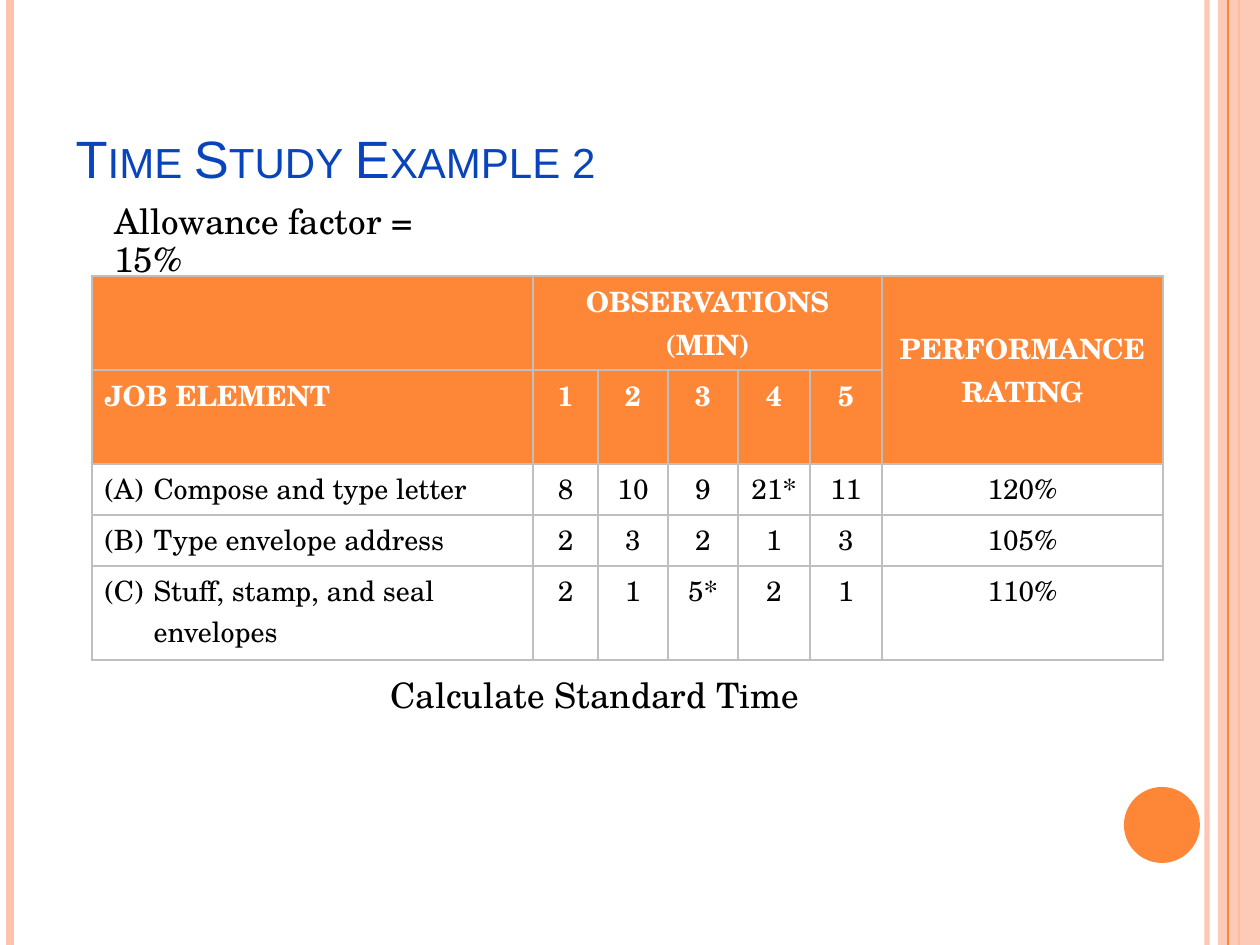
from lxml.etree import SubElement
from pptx import Presentation
from pptx.dml.color import RGBColor
from pptx.enum.shapes import MSO_CONNECTOR, MSO_SHAPE
from pptx.enum.text import MSO_ANCHOR, PP_ALIGN
from pptx.oxml.ns import qn
from pptx.util import Emu, Pt

ORANGE = RGBColor(0xFE, 0x86, 0x37)
PEACH = RGBColor(0xFE, 0xC3, 0xAE)
BLUE = RGBColor(0x08, 0x44, 0xBC)
GREY = RGBColor(0xBF, 0xBF, 0xBF)
BLACK = RGBColor(0, 0, 0)
WHITE = RGBColor(0xFF, 0xFF, 0xFF)
SERIF = "TeX Gyre Schola"
SANS = "Arial"

SLIDE_WIDTH, SLIDE_HEIGHT = 1260, 945
COLUMN_WIDTHS = [441, 65, 70, 70, 72, 72, 281]
ROW_HEIGHTS = [94, 80, 51, 51, 94]
HEADER_ROWS = 2
ROWS = [
    ["", "OBSERVATIONS (MIN)", "", "", "", "", "PERFORMANCE RATING"],
    ["JOB ELEMENT", "1", "2", "3", "4", "5", ""],
    ["(A)\tCompose and type letter", "8", "10", "9", "21*", "11", "120%"],
    ["(B)\tType envelope address", "2", "3", "2", "1", "3", "105%"],
    ["(C)\tStuff, stamp, and seal envelopes", "2", "1", "5*", "2", "1", "110%"],
]


def px(length):
    return Emu(round(length * 914400 / 126))


def set_opacity(color_format_parent, percent):
    color = color_format_parent.find(".//" + qn("a:srgbClr"))
    SubElement(color, qn("a:alpha"), val=str(percent * 1000))


def format_runs(paragraph, font_name, size, color, bold=False):
    for run in paragraph.runs:
        run.font.name = font_name
        run.font.size = Pt(size)
        run.font.color.rgb = color
        run.font.bold = bold


def add_stripe(slide, x, color, width, opacity=100):
    """Draw a full-height vertical line."""
    line = slide.shapes.add_connector(
        MSO_CONNECTOR.STRAIGHT, px(x), 0, px(x), px(SLIDE_HEIGHT))
    line.line.color.rgb = color
    line.line.width = Pt(width)
    if opacity < 100:
        set_opacity(line._element.spPr, opacity)
    SubElement(line._element.spPr, qn("a:effectLst"))


def add_filled_shape(slide, kind, left, top, width, height, color, opacity=100):
    shape = slide.shapes.add_shape(kind, px(left), px(top), px(width), px(height))
    shape.shadow.inherit = False
    shape.fill.solid()
    shape.fill.fore_color.rgb = color
    shape.line.fill.background()
    if opacity < 100:
        set_opacity(shape._element.spPr, opacity)


def add_title(slide, text):
    title = slide.shapes.title
    title.left, title.top, title.width, title.height = map(px, (63, 38, 1029, 157))
    frame = title.text_frame
    frame.text = text
    frame.vertical_anchor = MSO_ANCHOR.BOTTOM
    paragraph = frame.paragraphs[0]
    paragraph.alignment = PP_ALIGN.LEFT
    format_runs(paragraph, SANS, 30, BLUE)
    paragraph.runs[0].font._element.set("cap", "small")


def add_caption(slide, text, left, top, width, height):
    box = slide.shapes.add_textbox(px(left), px(top), px(width), px(height))
    frame = box.text_frame
    frame.word_wrap = True
    frame.text = text
    paragraph = frame.paragraphs[0]
    paragraph.line_spacing = 0.9
    format_runs(paragraph, SERIF, 20, BLACK)


def set_borders(cell):
    properties = cell._tc.get_or_add_tcPr()
    for side in ("a:lnL", "a:lnR", "a:lnT", "a:lnB"):
        border = SubElement(properties, qn(side), w=str(Pt(1)))
        fill = SubElement(border, qn("a:solidFill"))
        SubElement(fill, qn("a:srgbClr"), val=str(GREY))


def format_cell(cell, text, is_header, is_label):
    cell.margin_top = cell.margin_bottom = px(4)
    set_borders(cell)
    if is_header:
        cell.fill.solid()
        cell.fill.fore_color.rgb = ORANGE
    else:
        cell.fill.background()
    if not text:
        return
    cell.text_frame.text = text
    paragraph = cell.text_frame.paragraphs[0]
    paragraph.alignment = PP_ALIGN.LEFT if is_label else PP_ALIGN.CENTER
    paragraph.line_spacing = px(43 if is_header else 41)
    if is_label and not is_header:
        # Hanging indent behind the element letter
        properties = paragraph._p.get_or_add_pPr()
        properties.set("marL", str(px(49)))
        properties.set("indent", str(-px(49)))
    format_runs(paragraph, SERIF, 16, WHITE if is_header else BLACK, is_header)


def add_study_table(slide):
    table = slide.shapes.add_table(
        len(ROWS), len(COLUMN_WIDTHS), px(92), px(276),
        px(sum(COLUMN_WIDTHS)), px(sum(ROW_HEIGHTS))).table
    table.first_row = table.horz_banding = False
    for column, width in zip(table.columns, COLUMN_WIDTHS):
        column.width = px(width)
    for row, height in zip(table.rows, ROW_HEIGHTS):
        row.height = px(height)
    for row_index, texts in enumerate(ROWS):
        for column_index, text in enumerate(texts):
            format_cell(table.cell(row_index, column_index), text,
                        row_index < HEADER_ROWS, column_index == 0)
    table.cell(0, 1).merge(table.cell(0, 5))
    table.cell(0, 6).merge(table.cell(1, 6))
    table.cell(0, 6).vertical_anchor = MSO_ANCHOR.MIDDLE


def main():
    presentation = Presentation()
    presentation.slide_width = px(SLIDE_WIDTH)
    presentation.slide_height = px(SLIDE_HEIGHT)
    slide = presentation.slides.add_slide(presentation.slide_layouts[5])

    # Side decoration
    add_stripe(slide, 1207, PEACH, 3, 93)
    add_stripe(slide, 10, PEACH, 4.5)
    add_stripe(slide, 1239, ORANGE, 1.5)
    add_filled_shape(slide, MSO_SHAPE.RECTANGLE, 1218, 0, 42, SLIDE_HEIGHT, PEACH, 87)
    add_stripe(slide, 1228, ORANGE, 0.75)
    add_filled_shape(slide, MSO_SHAPE.OVAL, 1124, 787, 76, 76, ORANGE)

    # Content
    add_title(slide, "Time Study Example 2")
    add_caption(slide, "Allowance factor = 15%", 102, 198, 397, 52)
    add_study_table(slide)
    add_caption(slide, "Calculate Standard Time", 378, 672, 437, 50)

    presentation.save("out.pptx")


if __name__ == "__main__":
    main()
